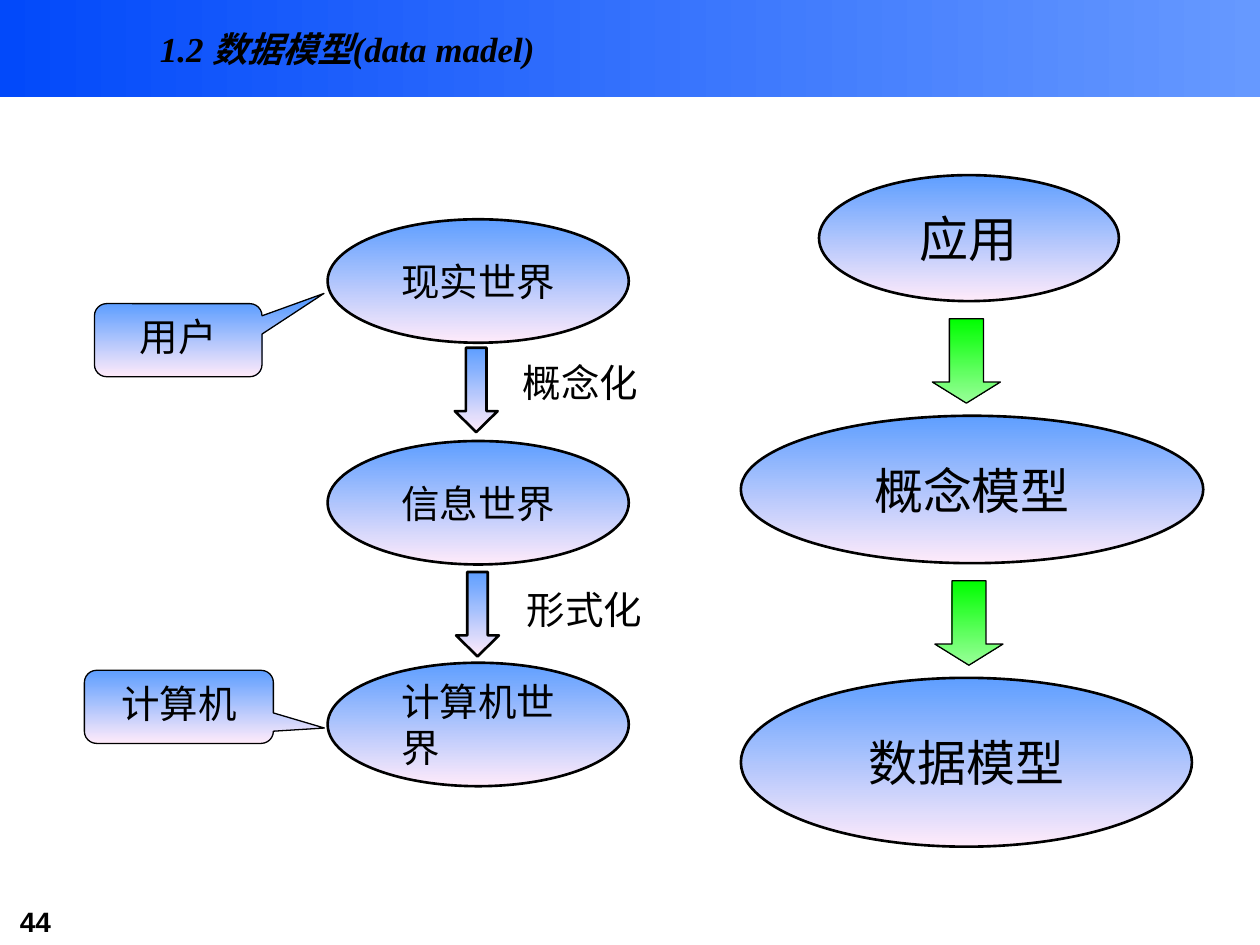
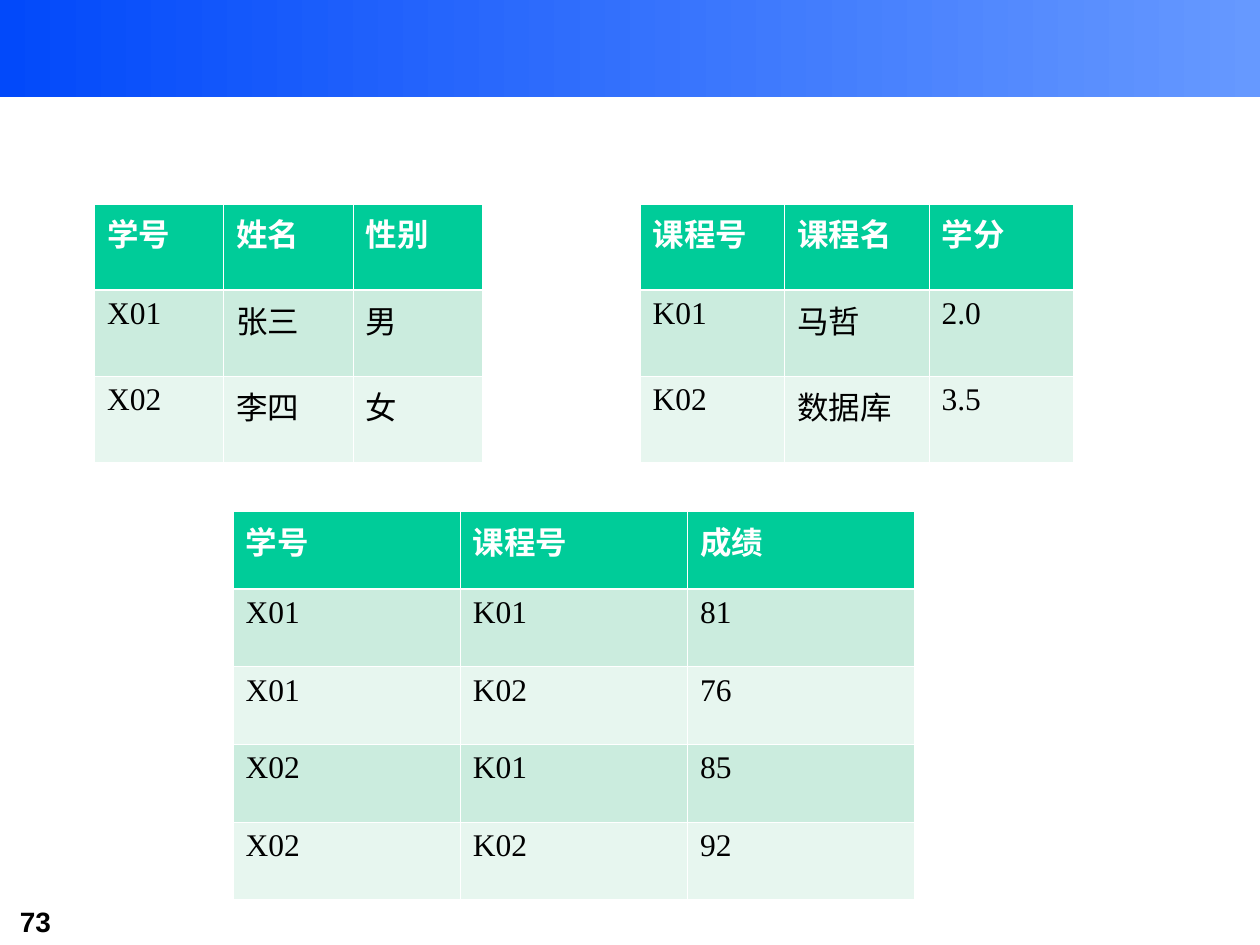
from dataclasses import dataclass

from lxml import etree
from pptx import Presentation
from pptx.dml.color import RGBColor
from pptx.enum import shapes, text
from pptx.oxml import ns
from pptx.util import Inches, Pt


@dataclass(frozen=True)
class Theme:
    # Colours; pairs are gradient ends
    black: str = "000000"
    white: str = "FFFFFF"
    band: tuple = ("0249FA", "6699FF")
    sky: tuple = ("5E9EFF", "FFEBFA")
    green: tuple = ("00FF00", "99FF99")
    header: str = "00CC99"
    rows: tuple = ("CBECDE", "E7F6EF")
    # Fonts
    latin: str = "Times New Roman"
    chinese: str = "Noto Sans CJK SC"
    number: str = "Arial"
    # Type sizes and line widths in points
    title_size: int = 20
    world_size: int = 22
    model_size: int = 28
    table_size: int = 18
    number_size: int = 16
    thick: float = 1.5
    thin: float = 0.75
    cell_line: float = 0.45
    header_line: float = 1.47


THEME = Theme()
SHAPE = shapes.MSO_SHAPE


# ---- Shared helpers ----
def write(frame, words, size, latin=THEME.latin, color=THEME.black,
          bold=False, italic=False):
    """Set the words of a text frame and format them; return the paragraph."""
    frame.text = words
    paragraph = frame.paragraphs[0]
    for run in paragraph.runs:
        font = run.font
        font.name, font.size = latin, Pt(size)
        font.bold, font.italic = bold, italic
        font.color.rgb = RGBColor.from_string(color)
        east_asian = etree.SubElement(font._element, ns.qn("a:ea"))
        east_asian.set("typeface", THEME.chinese)
    return paragraph


def add_gradient_shape(slide, preset, box, colors, line=None, angle=270):
    shape = slide.shapes.add_shape(preset, *map(Inches, box))
    shape.shadow.inherit = False
    shape.fill.gradient()
    shape.fill.gradient_angle = angle
    for stop, color in zip(shape.fill.gradient_stops, colors):
        stop.color.rgb = RGBColor.from_string(color)
    if line is None:
        shape.line.fill.background()
    else:
        shape.line.color.rgb = RGBColor.from_string(THEME.black)
        shape.line.width = Pt(line)
    return shape


def add_label(slide, box, words, size, wrap=True, inset=True, **style):
    label = slide.shapes.add_textbox(*map(Inches, box))
    frame = label.text_frame
    frame.word_wrap = wrap
    if not inset:
        frame.margin_left = frame.margin_right = 0
        frame.margin_top = frame.margin_bottom = 0
    return write(frame, words, size, **style)


def add_page(deck, number):
    """Add a blank slide with the top band and the page number."""
    slide = deck.slides.add_slide(deck.slide_layouts[6])
    add_gradient_shape(slide, SHAPE.RECTANGLE, (0, 0, 10, 0.77),
                       THEME.band, angle=0)
    add_label(slide, (0.06, 7.13, 1.22, 0.37), number, THEME.number_size,
              latin=THEME.number, bold=True)
    return slide


# ---- Diagram elements ----
def add_ellipse(slide, box, words, size):
    ellipse = add_gradient_shape(slide, SHAPE.OVAL, box, THEME.sky, THEME.thick)
    frame = ellipse.text_frame
    frame.word_wrap = True
    frame.vertical_anchor = text.MSO_ANCHOR.MIDDLE
    # Centre the text block while its lines stay left-aligned
    frame._txBody.bodyPr.set("anchorCtr", "1")
    paragraph = write(frame, words, size, latin=THEME.chinese)
    paragraph.alignment = text.PP_ALIGN.LEFT


def add_callout(slide, box, words, tip):
    callout = add_gradient_shape(slide, SHAPE.ROUNDED_RECTANGULAR_CALLOUT, box,
                                 THEME.sky, THEME.thin)
    callout.adjustments[0], callout.adjustments[1] = tip
    frame = callout.text_frame
    frame.word_wrap = True
    frame.vertical_anchor = text.MSO_ANCHOR.TOP
    write(frame, words, THEME.world_size).alignment = text.PP_ALIGN.CENTER


def add_down_arrow(slide, box, colors, line, shaft, head):
    arrow = add_gradient_shape(slide, SHAPE.DOWN_ARROW, box, colors, line)
    arrow.adjustments[0], arrow.adjustments[1] = shaft, head


# ---- Table element ----
def set_border(cell, side, width):
    line = etree.SubElement(cell._tc.get_or_add_tcPr(), ns.qn(f"a:ln{side}"),
                            w=str(int(Pt(width))))
    fill = etree.SubElement(line, ns.qn("a:solidFill"))
    etree.SubElement(fill, ns.qn("a:srgbClr"), val=THEME.white)


def add_relation(slide, box, records):
    """Draw a relation whose first record holds the attribute names."""
    left, top, width, height = map(Inches, box)
    relation = slide.shapes.add_table(len(records), len(records[0]),
                                      left, top, width, height).table
    for column in relation.columns:
        column.width = width // len(records[0])
    for r, record in enumerate(records):
        relation.rows[r].height = height // len(records)
        is_header = r == 0
        fill = THEME.header if is_header else THEME.rows[(r - 1) % 2]
        for c, value in enumerate(record):
            cell = relation.cell(r, c)
            top_line = THEME.header_line if r == 1 else THEME.cell_line
            bottom_line = THEME.header_line if is_header else THEME.cell_line
            for side, line in (("L", THEME.cell_line), ("R", THEME.cell_line),
                               ("T", top_line), ("B", bottom_line)):
                set_border(cell, side, line)
            cell.fill.solid()
            cell.fill.fore_color.rgb = RGBColor.from_string(fill)
            write(cell.text_frame, value, THEME.table_size, bold=is_header,
                  color=THEME.white if is_header else THEME.black)


# ---- Slides ----
def build_data_model(deck):
    slide = add_page(deck, "44")
    title = add_label(slide, (1.17, 0, 5.42, 0.6), "1.2 数据模型(data madel)",
                      THEME.title_size, bold=True, italic=True)
    title.line_spacing = 1.5

    # Three worlds, evenly stacked
    for i, world in enumerate(("现实世界", "信息世界", "计算机世界")):
        add_ellipse(slide, (2.6, 1.74 + 1.76 * i, 2.39, 0.98), world,
                    THEME.world_size)

    # Steps between the worlds
    for step, arrow_at, label_at in (("概念化", (3.61, 2.76), (4.15, 2.85)),
                                     ("形式化", (3.62, 4.54), (4.18, 4.65))):
        add_down_arrow(slide, (*arrow_at, 0.34, 0.67), THEME.sky, THEME.thick,
                       shaft=0.48, head=0.49)
        add_label(slide, (*label_at, 0.92, 0.37), step, THEME.world_size,
                  wrap=False, inset=False, latin=THEME.chinese)

    # Who stands at each end
    add_callout(slide, (0.75, 2.41, 1.33, 0.58), "用户", (0.87, -0.64))
    add_callout(slide, (0.67, 5.32, 1.5, 0.58), "计算机", (0.77, 0.29))

    # From application to data model
    for box, model in (((6.5, 1.39, 2.38, 1), "应用"),
                       ((5.88, 3.3, 3.67, 1.17), "概念模型"),
                       ((5.88, 5.38, 3.58, 1.34), "数据模型")):
        add_ellipse(slide, box, model, THEME.model_size)
    for arrow_at in ((7.4, 2.53), (7.42, 4.61)):
        add_down_arrow(slide, (*arrow_at, 0.54, 0.67), THEME.green, THEME.thin,
                       shaft=0.5, head=0.31)


def build_relations(deck):
    slide = add_page(deck, "73")
    students = [("学号", "姓名", "性别"),
                ("X01", "张三", "男"),
                ("X02", "李四", "女")]
    courses = [("课程号", "课程名", "学分"),
               ("K01", "马哲", "2.0"),
               ("K02", "数据库", "3.5")]
    grades = [("学号", "课程号", "成绩"),
              ("X01", "K01", "81"),
              ("X01", "K02", "76"),
              ("X02", "K01", "85"),
              ("X02", "K02", "92")]
    add_relation(slide, (0.75, 1.62, 3.08, 2.05), students)
    add_relation(slide, (5.08, 1.62, 3.44, 2.05), courses)
    add_relation(slide, (1.85, 4.06, 5.41, 3.08), grades)


def main():
    deck = Presentation()
    deck.slide_width, deck.slide_height = Inches(10), Inches(7.5)
    build_data_model(deck)
    build_relations(deck)
    deck.save("out.pptx")


if __name__ == "__main__":
    main()
